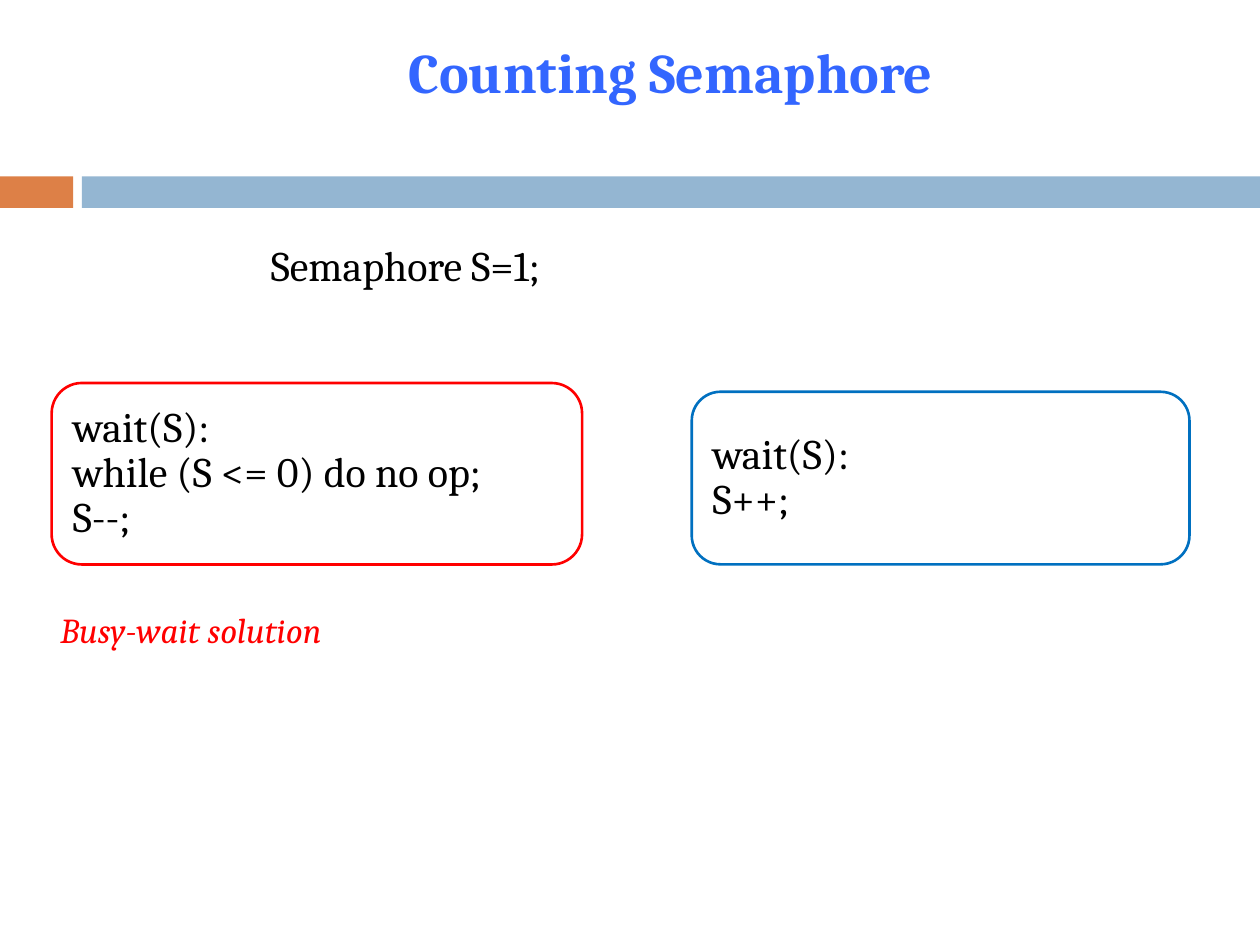
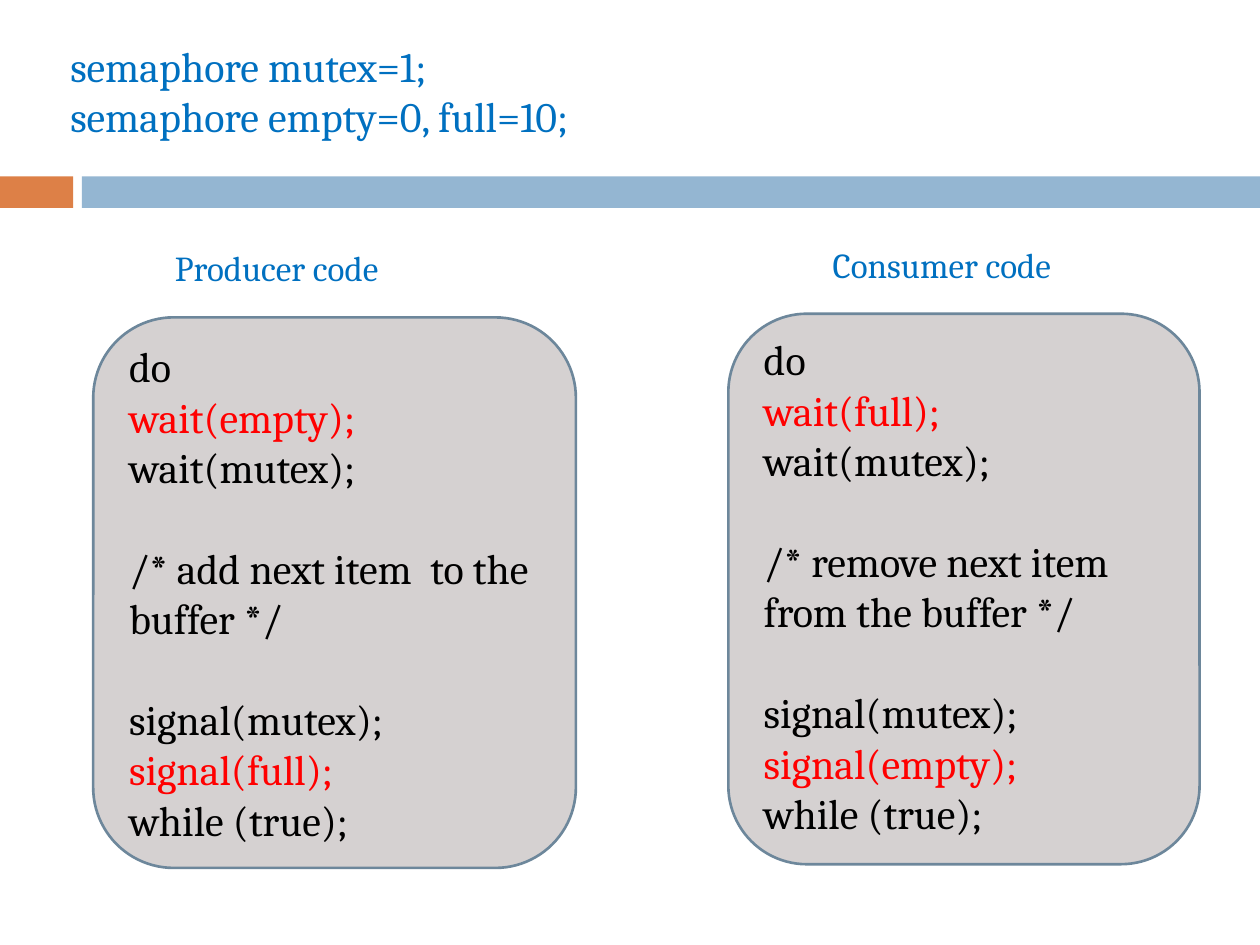
"""Build two slides on counting semaphores and the producer-consumer problem."""
from dataclasses import dataclass
from typing import NamedTuple

from pptx import Presentation
from pptx.dml.color import RGBColor
from pptx.enum.shapes import MSO_SHAPE as Preset
from pptx.enum.text import MSO_ANCHOR as Anchor, PP_ALIGN as Align
from pptx.shapes.autoshape import Shape
from pptx.slide import Slide
from pptx.util import Pt


@dataclass(frozen=True)
class Theme:
    font: str = "Cambria"
    title_size: float = 32
    code_size: float = 24
    label_size: float = 20
    outline: float = 1.5
    tight: float = 0.9
    blank_line: float = 28.8
    inset: float = 7.2
    indent: float = 43.2
    black: str = "000000"
    white: str = "FFFFFF"
    red: str = "FF0000"
    blue: str = "0070C0"
    title: str = "3366FF"
    band: str = "94B6D2"
    accent: str = "DD8047"
    panel: str = "D5D1D1"
    panel_line: str = "6D879B"


THEME = Theme()


class Box(NamedTuple):
    left: float
    top: float
    width: float
    height: float


class Line(NamedTuple):
    text: str
    color: str = THEME.black
    space_before: float = 0


class Panel(NamedTuple):
    box: Box
    lines: list[Line]
    fill: str
    outline: str
    spacing: float = 1.0
    margin_bottom: float = 3.6


class CodeColumn(NamedTuple):
    heading: str
    heading_box: Box
    box: Box
    first_wait: str
    comment: str
    last_signal: str
    margin_bottom: float


BANDS = [
    (Box(0, 100.8, 41.8, 18), THEME.accent),
    (Box(46.8, 100.8, 673.2, 18), THEME.band),
]

OPERATIONS = [
    Panel(Box(29.5, 218.9, 303.1, 103.7),
          [Line("wait(S):"), Line("while (S <= 0) do no op;"), Line("S--;")],
          THEME.white, THEME.red, THEME.tight),
    Panel(Box(395.3, 223.9, 284.4, 98.6),
          [Line("wait(S):"), Line("S++;")],
          THEME.white, THEME.blue, THEME.tight),
]

COLUMNS = [
    CodeColumn("Producer code", Box(92.9, 137.5, 164.9, 31.7),
               Box(53.3, 181.4, 275.8, 314.6), "wait(empty);",
               "/* add next item  to the buffer */", "signal(full);", 3.6),
    CodeColumn("Consumer code", Box(468.7, 135.4, 164.9, 31.7),
               Box(416.2, 179.3, 269.3, 314.6), "wait(full);",
               "/* remove next item from the buffer */", "signal(empty);", 7),
]


def color(value: str) -> RGBColor:
    """Turn a hex string into a colour."""
    return RGBColor.from_string(value)


def write(shape: Shape, lines: list[Line], *, size: float = THEME.code_size,
          bold: bool = False, italic: bool = False, align: Align = Align.LEFT,
          anchor: Anchor = Anchor.TOP, spacing: float = 1.0,
          margin_left: float = THEME.inset, margin_bottom: float = 3.6) -> None:
    """Fill a shape with one paragraph for each line."""
    frame = shape.text_frame
    frame.word_wrap = True
    frame.vertical_anchor = anchor
    frame.margin_left = Pt(margin_left)
    frame.margin_bottom = Pt(margin_bottom)
    for index, line in enumerate(lines):
        paragraph = frame.add_paragraph() if index else frame.paragraphs[0]
        paragraph.alignment = align
        paragraph.line_spacing = spacing
        paragraph.space_before = Pt(line.space_before)
        run = paragraph.add_run()
        run.text = line.text
        run.font.name = THEME.font
        run.font.size = Pt(size)
        run.font.bold = bold
        run.font.italic = italic
        run.font.color.rgb = color(line.color)


def add_text(slide: Slide, box: Box, lines: list[Line], **style) -> None:
    """Add a text box with formatted lines."""
    write(slide.shapes.add_textbox(*map(Pt, box)), lines, **style)


def add_filled(slide: Slide, preset: Preset, box: Box, fill: str,
               outline: str | None = None) -> Shape:
    """Add a flat preset shape with an optional outline."""
    shape = slide.shapes.add_shape(preset, *map(Pt, box))
    shape.shadow.inherit = False
    shape.fill.solid()
    shape.fill.fore_color.rgb = color(fill)
    if outline:
        shape.line.color.rgb = color(outline)
        shape.line.width = Pt(THEME.outline)
    else:
        shape.line.fill.background()
    return shape


def add_panel(slide: Slide, panel: Panel) -> None:
    """Add a rounded panel with code lines centred vertically."""
    shape = add_filled(slide, Preset.ROUNDED_RECTANGLE, panel.box,
                       panel.fill, panel.outline)
    write(shape, panel.lines, anchor=Anchor.MIDDLE, spacing=panel.spacing,
          margin_bottom=panel.margin_bottom)


def add_banded_slide(presentation: Presentation) -> Slide:
    """Add a blank slide with the two shared bands."""
    slide = presentation.slides.add_slide(presentation.slide_layouts[6])
    for box, fill in BANDS:
        add_filled(slide, Preset.RECTANGLE, box, fill)
    return slide


def add_code_column(slide: Slide, column: CodeColumn) -> None:
    """Add a heading and the code panel below it."""
    lines = [
        Line("do"),
        Line(column.first_wait, THEME.red),
        Line("wait(mutex);"),
        Line(column.comment, space_before=THEME.blank_line),
        Line("signal(mutex);", space_before=THEME.blank_line),
        Line(column.last_signal, THEME.red),
        Line("while (true);"),
    ]
    add_panel(slide, Panel(column.box, lines, THEME.panel, THEME.panel_line,
                           margin_bottom=column.margin_bottom))
    add_text(slide, column.heading_box, [Line(column.heading, THEME.blue)],
             size=THEME.label_size)


def build_counting_semaphore(presentation: Presentation) -> None:
    """Build the slide that defines the semaphore operations."""
    slide = add_banded_slide(presentation)
    add_text(slide, Box(54, 22.3, 622.8, 42.5),
             [Line("Counting Semaphore", THEME.title)], size=THEME.title_size,
             bold=True, align=Align.CENTER, spacing=THEME.tight,
             margin_left=THEME.indent)
    add_text(slide, Box(111.6, 136.8, 223.2, 33.1), [Line("Semaphore S=1;")],
             spacing=THEME.tight, margin_left=THEME.indent)
    for panel in OPERATIONS:
        add_panel(slide, panel)
    add_text(slide, Box(27.4, 344.2, 193.7, 31.7),
             [Line("Busy-wait solution", THEME.red)],
             size=THEME.label_size, italic=True)


def build_producer_consumer(presentation: Presentation) -> None:
    """Build the slide that compares producer and consumer code."""
    slide = add_banded_slide(presentation)
    add_text(slide, Box(33.1, 15.8, 686.9, 72),
             [Line("semaphore mutex=1;", THEME.blue),
              Line("semaphore empty=0, full=10;", THEME.blue)],
             anchor=Anchor.MIDDLE)
    for column in COLUMNS:
        add_code_column(slide, column)


def main() -> None:
    """Build and save the presentation."""
    presentation = Presentation()
    presentation.slide_width = Pt(720)
    presentation.slide_height = Pt(540)
    build_counting_semaphore(presentation)
    build_producer_consumer(presentation)
    presentation.save("out.pptx")


if __name__ == "__main__":
    main()
